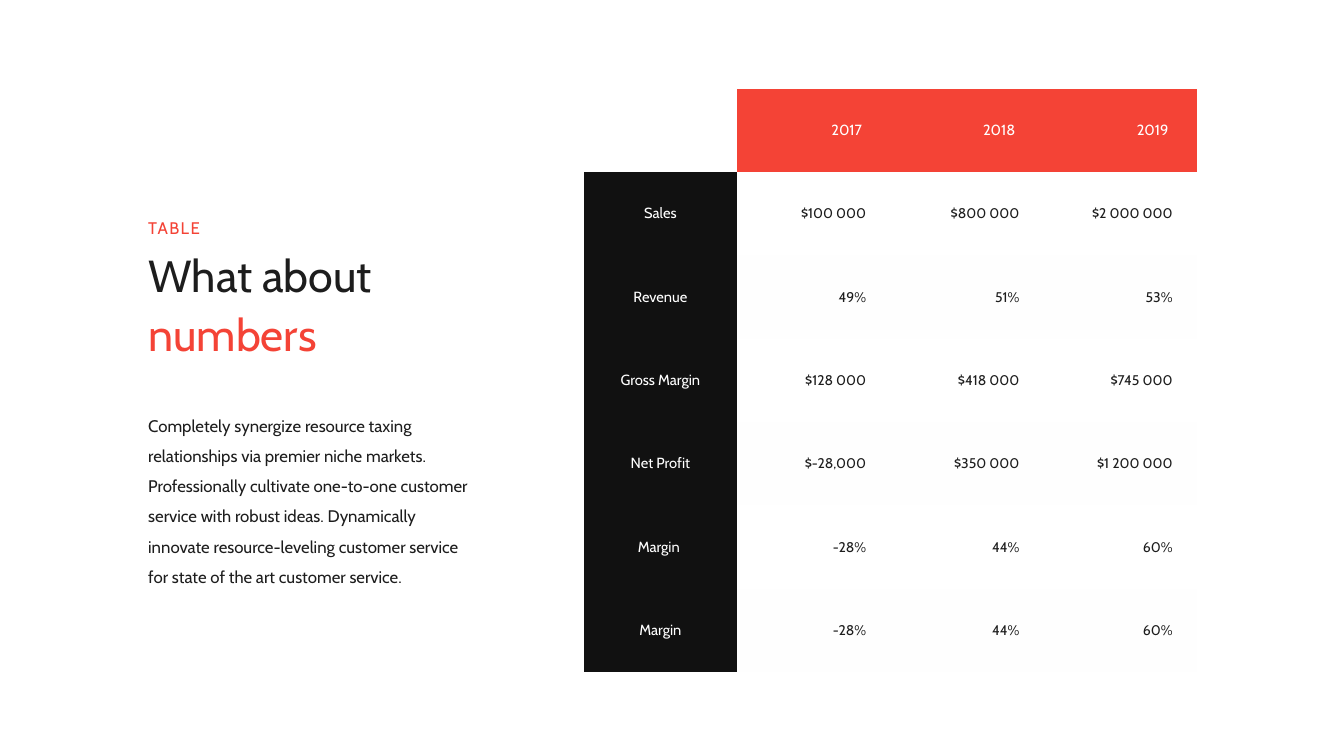
"""Build a slide with a heading, a short text and a table of yearly figures."""
from dataclasses import dataclass

from pptx import Presentation
from pptx.dml.color import RGBColor
from pptx.enum.text import MSO_ANCHOR, MSO_AUTO_SIZE, PP_ALIGN
from pptx.oxml.ns import qn
from pptx.shapes.base import BaseShape
from pptx.slide import Slide
from pptx.table import _Cell as Cell
from pptx.text.text import _Run as Run
from pptx.util import Inches, Pt

LEFT, MID, RIGHT = PP_ALIGN.LEFT, PP_ALIGN.CENTER, PP_ALIGN.RIGHT
TOP, CENTER, BOTTOM = MSO_ANCHOR.TOP, MSO_ANCHOR.MIDDLE, MSO_ANCHOR.BOTTOM
NO_FIT = MSO_AUTO_SIZE.NONE
FONT = "Cabin"
NO_STYLE = "{2D5ABB26-0587-4C30-8999-92F81FD0307C}"
COLORS = {"red": "F44336", "ink": "1D1D1D", "black": "111111",
          "white": "FFFFFF", "band": "FEFEFE"}
TITLE = "What about \vnumbers"
BODY = ("Completely synergize resource taxing relationships via premier niche "
        "markets. Professionally cultivate one-to-one customer service with "
        "robust ideas. Dynamically innovate resource-leveling customer service "
        "for state of the art customer service.")
ROWS = [
    ("", "2017", "2018", "2019"),
    ("Sales", "$100 000", "$800 000", "$2 000 000"),
    ("Revenue", "49%", "51%", "53%"),
    ("Gross Margin", "$128 000", "$418 000", "$745 000"),
    ("Net Profit", "$-28,000", "$350 000", "$1 200 000"),
    ("Margin ", "-28%", "44%", "60%"),
    ("Margin", "-28%", "44%", "60%"),
]


@dataclass
class Block:
    """Describe one block of text at the left."""
    text: str
    top: float
    width: float
    height: float
    size: float
    lines: float
    colors: tuple[str, ...]
    anchor: MSO_ANCHOR = TOP


@dataclass
class Look:
    """Describe one kind of table cell."""
    fill: str
    color: str
    size: float
    align: PP_ALIGN
    inset: float


HEAD = Look("red", "white", 10.5, RIGHT, 0.28)
LABEL = Look("black", "white", 10.5, MID, 0.1)
CORNER = Look("white", "white", 10.5, MID, 0.1)
PLAIN = Look("white", "ink", 10, RIGHT, 0.24)
BAND = Look("band", "ink", 10, RIGHT, 0.24)


def paint(run: Run, size: float, color: str) -> None:
    """Set the font of a run."""
    run.font.name = FONT
    run.font.size = Pt(size)
    run.font.color.rgb = RGBColor.from_string(COLORS[color])


def write(shape: BaseShape, block: Block) -> None:
    """Place a shape and fill it with a block of text."""
    shape.left, shape.top = Inches(1.47), Inches(block.top)
    shape.width, shape.height = Inches(block.width), Inches(block.height)
    frame = shape.text_frame
    frame.text = block.text
    frame.word_wrap = True
    frame.auto_size = NO_FIT
    frame.vertical_anchor = block.anchor
    frame.margin_left = frame.margin_right = 0
    frame.margin_top = frame.margin_bottom = 0
    para = frame.paragraphs[0]
    para.alignment = LEFT
    para.line_spacing = block.lines
    para.space_before = Pt(0)
    for run, color in zip(para.runs, block.colors):
        paint(run, block.size, color)


def choose(row: int, col: int) -> Look:
    """Return the look of the cell at a row and column."""
    if row == 0:
        return HEAD if col else CORNER
    if col == 0:
        return LABEL
    return PLAIN if row % 2 else BAND


def dress(cell: Cell, text: str, look: Look) -> None:
    """Fill and format one table cell."""
    cell.fill.solid()
    cell.fill.fore_color.rgb = RGBColor.from_string(COLORS[look.fill])
    cell.vertical_anchor = CENTER
    cell.margin_right = Inches(look.inset)
    cell.text_frame.text = text
    para = cell.text_frame.paragraphs[0]
    para.alignment = look.align
    for run in para.runs:
        paint(run, look.size, look.color)


def tabulate(slide: Slide) -> None:
    """Draw the table of figures."""
    frame = slide.shapes.add_table(len(ROWS), len(ROWS[0]), Inches(5.79),
                                   Inches(0.88), Inches(6.08), Inches(5.79))
    table = frame.table
    table.first_row = table.horz_banding = False
    for style in frame.element.iter(qn("a:tableStyleId")):
        style.text = NO_STYLE
    for row, texts in enumerate(ROWS):
        for col, text in enumerate(texts):
            dress(table.cell(row, col), text, choose(row, col))


def main() -> None:
    """Build and save the slide."""
    deck = Presentation()
    deck.slide_width, deck.slide_height = Inches(13.33), Inches(7.5)
    slide = deck.slides.add_slide(deck.slide_layouts[1])
    title, body = slide.placeholders
    write(title, Block(TITLE, 2.4, 4.46, 1.14, 32, 1.1, ("ink", "red")))
    write(body, Block(BODY, 4.02, 3.2, 2.12, 12, 1.5, ("ink",)))
    props = body.text_frame.paragraphs[0].runs[0].font
    props = body.element.find(".//" + qn("a:pPr"))
    props.set("marL", "0")
    props.set("indent", "0")
    props.append(props.makeelement(qn("a:buNone"), {}))
    label = slide.shapes.add_textbox(0, 0, 0, 0)
    write(label, Block("TABLE", 2.14, 1.98, 0.22, 12, 1.2, ("red",), BOTTOM))
    spaced = label.element.find(".//" + qn("a:rPr"))
    spaced.set("spc", "100")
    tabulate(slide)
    deck.save("out.pptx")


if __name__ == "__main__":
    main()
